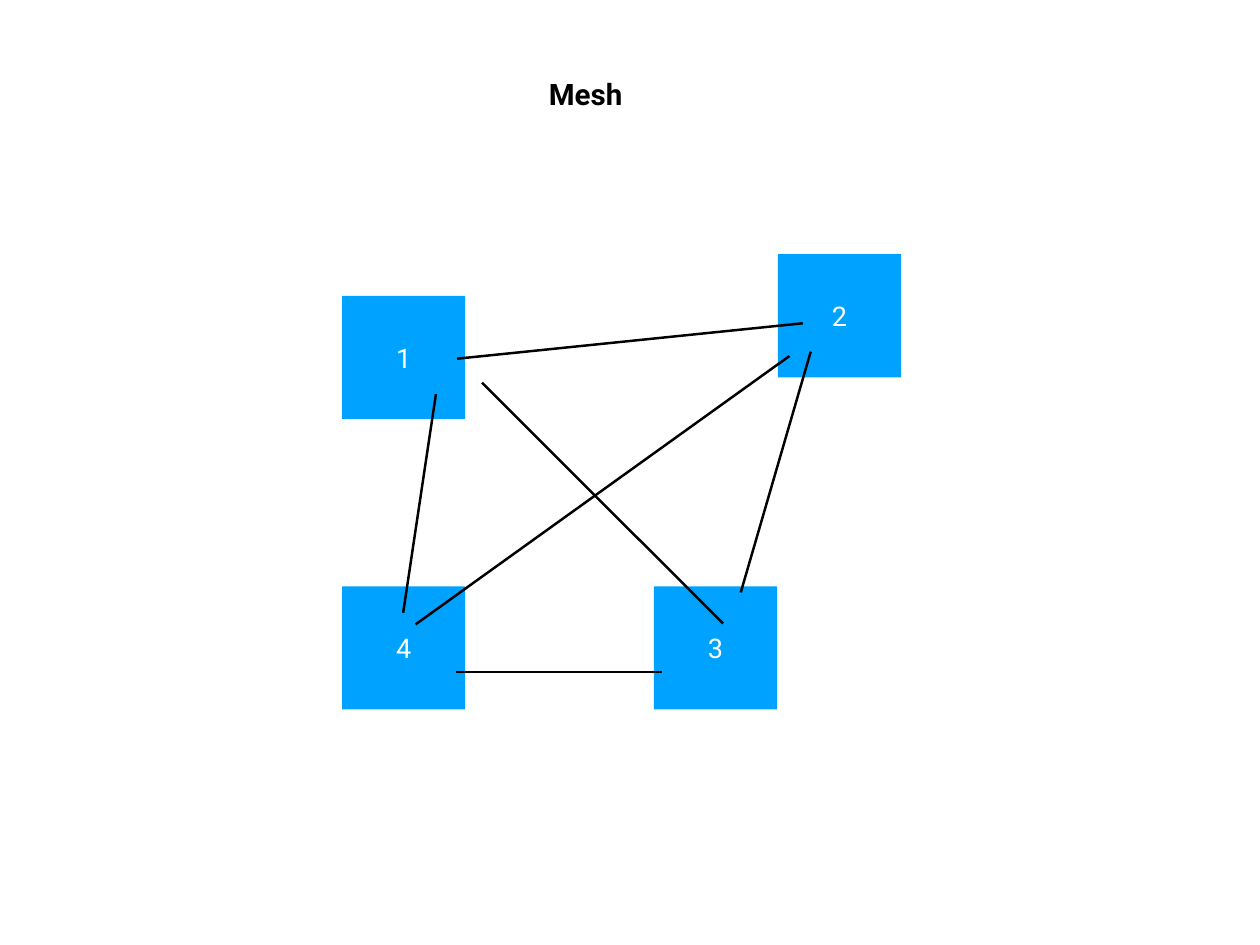
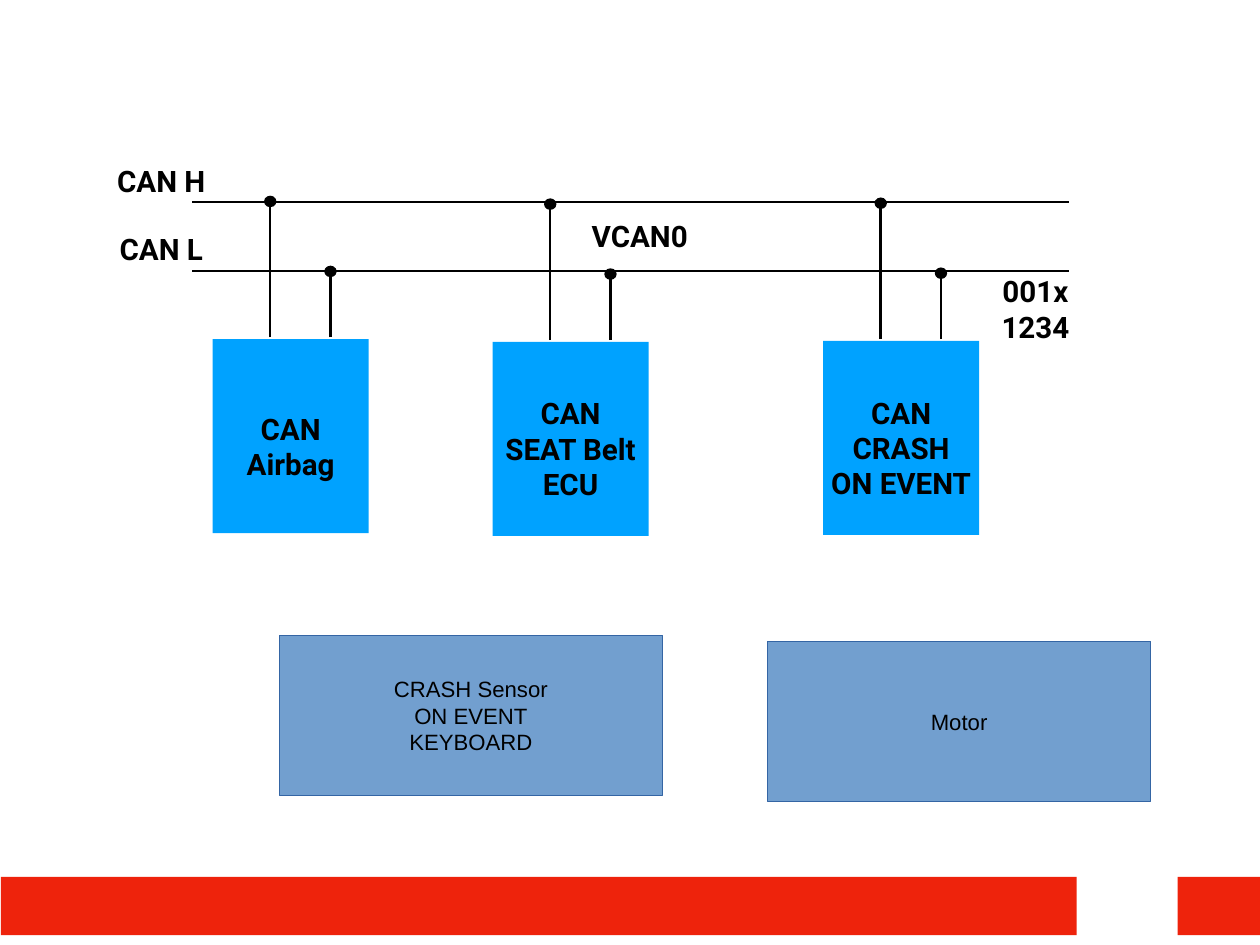
from lxml import etree
from pptx import Presentation
from pptx.dml.color import RGBColor
from pptx.enum import shapes, text
from pptx.oxml.ns import qn
from pptx.util import Inches, Pt

COLORS = {"node": "00A2FF", "band": "EE230C", "box": "729FCF",
          "box_line": "3465A4", "ink": "000000", "paper": "FFFFFF"}
RECT, OVAL = shapes.MSO_SHAPE.RECTANGLE, shapes.MSO_SHAPE.OVAL

MESH_SIDE = 1.39
MESH_NODES = [("1", 3.86, 3.34), ("2", 8.78, 2.87), ("3", 7.38, 6.62), ("4", 3.86, 6.62)]
MESH_LINKS = [(5.16, 4.05, 9.06, 3.65), (9.15, 3.97, 8.36, 6.69), (5.44, 4.32, 8.16, 7.04),
              (4.55, 6.92, 4.92, 4.45), (5.15, 7.59, 7.47, 7.59), (4.69, 7.05, 8.91, 4.02)]

BUS_LEFT, BUS_RIGHT = 2.17, 12.06
BUS_LINES = [2.28, 3.06]
BUS_LABELS = [("CAN H", 1.24, 1.78, 1.16), ("CAN L", 1.26, 2.55, 1.12),
              ("VCAN0", 6.61, 2.41, 1.22), ("001x\v1234", 10.84, 3.23, 1.69)]
ECU_W, ECU_H = 1.76, 2.19
ECUS = [(["CAN", "Airbag"], 2.4, 3.83), (["CAN", "SEAT Belt", "ECU"], 5.56, 3.86),
        (["CAN", "CRASH", "ON EVENT"], 9.29, 3.85)]
STUBS = [(0.65, 1.52, 1.62), (1.33, 0.74, 0.83)]
DOT_W, DOT_H = 0.14, 0.13
LABEL_H, LINE_STEP, LABEL_DROP = 0.51, 0.4, 0.11
DEVICES = [(["CRASH Sensor", "ON EVENT", "KEYBOARD"], 3.15, 7.17), (["Motor"], 8.66, 7.24)]
DEVICE_W, DEVICE_H = 4.33, 1.81
BANDS = [(0.01, 12.14), (13.29, 0.93)]
BAND_Y, BAND_H = 9.9, 0.66


def rgb(name):
    return RGBColor.from_string(COLORS[name])


def write(sp, lines, size=24, bold=True, color="ink", font="Roboto", inset=(0.06, 0.06)):
    tf = sp.text_frame
    tf.word_wrap = False
    tf.auto_size = text.MSO_AUTO_SIZE.NONE
    tf.vertical_anchor = text.MSO_ANCHOR.MIDDLE
    tf.margin_left = tf.margin_right = Inches(inset[0])
    tf.margin_top = tf.margin_bottom = Inches(inset[1])
    for i, line in enumerate(lines):
        p = tf.add_paragraph() if i else tf.paragraphs[0]
        p.text = line
        p.alignment = text.PP_ALIGN.CENTER
        for r in p.runs:
            r.font.name, r.font.size, r.font.bold = font, Pt(size), bold
            r.font.color.rgb = rgb(color)


def add_block(s, x, y, w, h, fill, kind=RECT, line=None):
    sp = s.shapes.add_shape(kind, Inches(x), Inches(y), Inches(w), Inches(h))
    sp.shadow.inherit = False
    sp.fill.solid()
    sp.fill.fore_color.rgb = rgb(fill)
    if line:
        sp.line.color.rgb = rgb(line)
        sp.line.width = Pt(0)
    else:
        sp.line.fill.background()
    return sp


def add_label(s, lines, x, y, w, h=LABEL_H):
    write(s.shapes.add_textbox(Inches(x), Inches(y), Inches(w), Inches(h)), lines)


def add_line(s, x1, y1, x2, y2):
    c = s.shapes.add_connector(shapes.MSO_CONNECTOR.STRAIGHT,
                               Inches(x1), Inches(y1), Inches(x2), Inches(y2))
    c.line.color.rgb = rgb("ink")
    c.line.width = Pt(2)
    etree.SubElement(c._element.spPr, qn("a:effectLst"))


def build_mesh(prs):
    s = prs.slides.add_slide(prs.slide_layouts[5])
    title = s.shapes.title
    title.left, title.top = Inches(6.13), Inches(0.8)
    title.width, title.height = Inches(0.96), Inches(LABEL_H)
    write(title, ["Mesh"])
    for name, x, y in MESH_NODES:
        sp = add_block(s, x, y, MESH_SIDE, MESH_SIDE, "node")
        write(sp, [name], size=22, bold=False, color="paper")
    for link in MESH_LINKS:
        add_line(s, *link)


def build_bus(prs):
    s = prs.slides.add_slide(prs.slide_layouts[6])
    for y in BUS_LINES:
        add_line(s, BUS_LEFT, y, BUS_RIGHT, y)
    for label, x, y, w in BUS_LABELS:
        add_label(s, [label], x, y, w)
    for lines, x, y in ECUS:
        add_block(s, x, y, ECU_W, ECU_H, "node")
        h = LABEL_H + LINE_STEP * (len(lines) - 1)
        add_label(s, lines, x, y + (ECU_H - h) / 2 + LABEL_DROP, ECU_W, h)
        for dx, rise, dot_rise in STUBS:
            add_line(s, x + dx, y - 0.02, x + dx, y - rise)
            add_block(s, x + dx - DOT_W / 2, y - dot_rise, DOT_W, DOT_H, "ink", OVAL)
    for x, w in BANDS:
        add_block(s, x, BAND_Y, w, BAND_H, "band")
    for lines, x, y in DEVICES:
        sp = add_block(s, x, y, DEVICE_W, DEVICE_H, "box", line="box_line")
        write(sp, lines, size=18, bold=False, font="Arial", inset=(0.1, 0.05))


def main():
    prs = Presentation()
    prs.slide_width, prs.slide_height = Inches(14.22), Inches(10.67)
    build_mesh(prs)
    build_bus(prs)
    prs.save("out.pptx")


if __name__ == "__main__":
    main()
